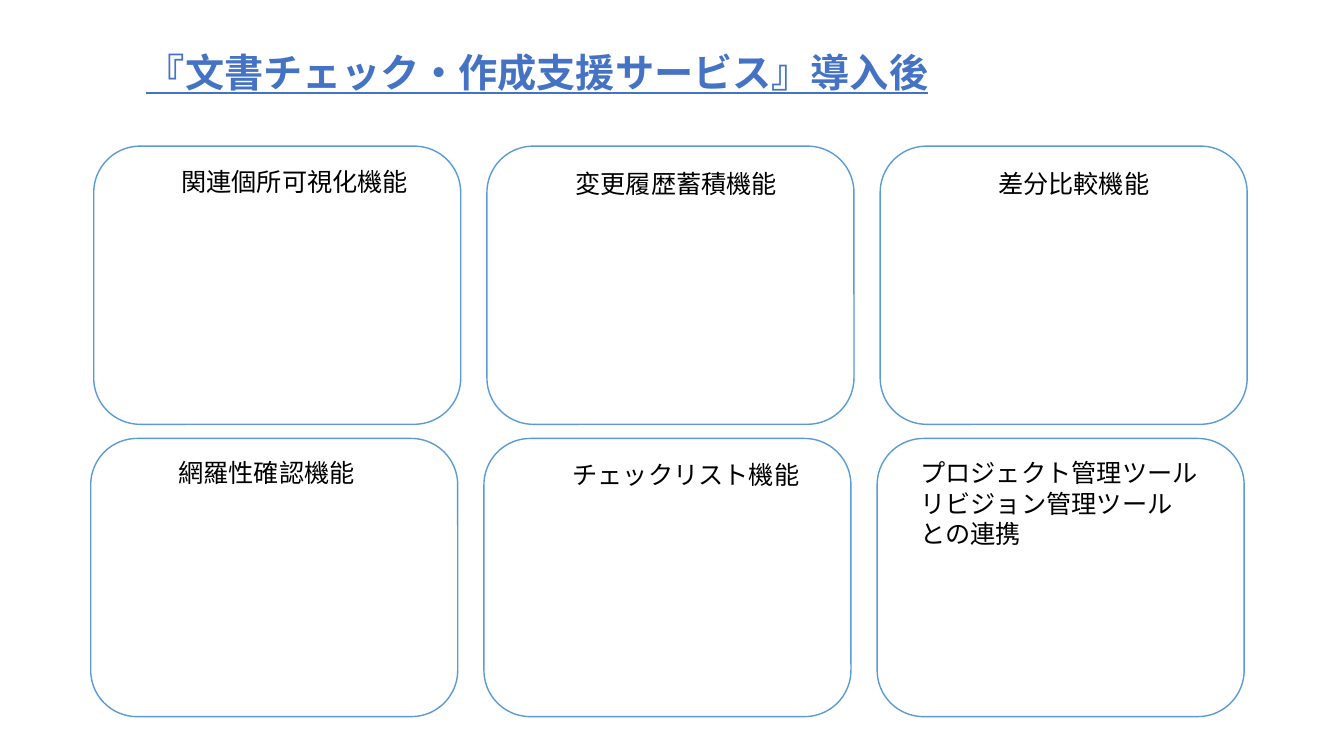
from pptx import Presentation
from pptx.dml.color import RGBColor
from pptx.enum.shapes import MSO_SHAPE
from pptx.enum.text import MSO_AUTO_SIZE
from pptx.util import Inches, Pt

ROUNDED = MSO_SHAPE.ROUNDED_RECTANGLE
FIT_SHAPE = MSO_AUTO_SIZE.SHAPE_TO_FIT_TEXT
FONT = "Noto Sans CJK JP"
BLUE = RGBColor(0x44, 0x72, 0xC4)
OUTLINE = RGBColor(0x5B, 0x9B, 0xD5)
BLACK = RGBColor(0, 0, 0)

TITLE = "『文書チェック・作成支援サービス』導入後"
FEATURES = [
    [("関連個所可視化機能", 0.77, 0.12, 2.47),
     ("変更履歴蓄積機能", 0.78, 0.14, 2.22),
     ("差分比較機能", 1.07, 0.14, 1.72)],
    [("網羅性確認機能", 0.77, 0.11, 1.97),
     ("チェックリスト機能", 0.78, 0.13, 2.47),
     ("プロジェクト管理ツール\nリビジョン管理ツール\nとの連携", 0.33, 0.11, 2.98)],
]
GRID_LEFT, GRID_TOP = 0.93, 1.45
CARD_W, CARD_H = 3.64, 2.76
COL_STEP, ROW_STEP = 3.9, 2.9
ROW_SHIFT = -0.03
LINE_RATIO = 1.2

prs = Presentation()
prs.slide_width, prs.slide_height = Inches(13.33), Inches(7.5)
s = prs.slides.add_slide(prs.slide_layouts[6])


def add_text(text, left, top, width, size, color, strong=False):
    lines = text.count("\n") + 1
    height = 0.1 + lines * size * LINE_RATIO / 72
    tb = s.shapes.add_textbox(Inches(left), Inches(top), Inches(width), Inches(height))
    tf = tb.text_frame
    tf.word_wrap = False
    tf.auto_size = FIT_SHAPE
    tf.margin_top, tf.margin_bottom = Inches(0.08), Inches(0.02)
    tf.text = text
    for p in tf.paragraphs:
        p.line_spacing = Pt(size * LINE_RATIO)
        for r in p.runs:
            r.font.name = FONT
            r.font.size = Pt(size)
            r.font.color.rgb = color
            r.font.bold = r.font.underline = strong
            ea = r.font._element.makeelement(
                "{http://schemas.openxmlformats.org/drawingml/2006/main}ea", {"typeface": FONT})
            r.font._element.append(ea)


def add_card(left, top):
    sp = s.shapes.add_shape(ROUNDED, Inches(left), Inches(top), Inches(CARD_W), Inches(CARD_H))
    sp.shadow.inherit = False
    sp.fill.background()
    sp.line.color.rgb = OUTLINE
    sp.line.width = Pt(1)


add_text(TITLE, 1.35, 0.4, 8.06, 28, BLUE, strong=True)
for row, features in enumerate(FEATURES):
    for col, (label, dx, dy, width) in enumerate(features):
        left = GRID_LEFT + col * COL_STEP + row * ROW_SHIFT
        top = GRID_TOP + row * ROW_STEP
        add_text(label, left + dx, top + dy, width, 18, BLACK)
        add_card(left, top)

prs.save("out.pptx")
